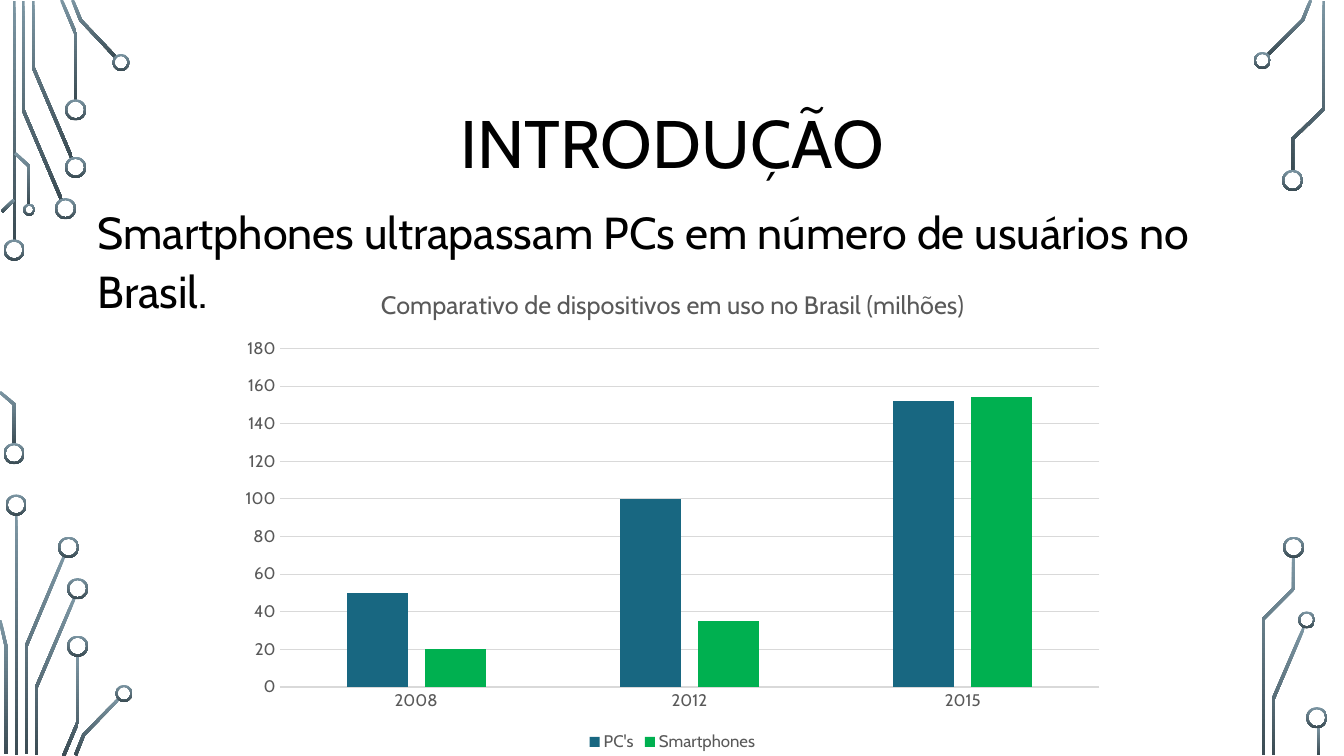
from dataclasses import dataclass
from math import hypot

from pptx import Presentation
from pptx.chart.data import CategoryChartData
from pptx.dml.color import RGBColor
from pptx.enum.chart import XL_CHART_TYPE, XL_LEGEND_POSITION, XL_TICK_MARK
from pptx.enum.shapes import MSO_SHAPE
from pptx.enum.text import MSO_ANCHOR, MSO_AUTO_SIZE, PP_ALIGN
from pptx.util import Inches, Pt


@dataclass
class Theme:
    font: str = "Cabin"
    ink: str = "000000"
    soft: str = "595959"
    grid: str = "D9D9D9"
    light: str = "7C96A3"
    dark: str = "3B4C54"
    bars: tuple = ("186781", "00B050")
    title: int = 48
    body: int = 32
    heading: int = 18
    label: int = 12
    trace: float = 0.03
    rim: float = 0.02


TRACES = [
    [(0.14, 0.01), (0.14, 2.4)],
    [(0.23, 0.01), (0.23, 1.09), (0.61, 1.98)],
    [(0.33, 0.01), (0.33, 0.67), (0.71, 1.56)],
    [(0.61, 0), (0.75, 0.33), (0.75, 1)],
    [(0.72, 0), (0.8, 0.2), (1.15, 0.57)],
    [(0.02, 2.1), (0.14, 1.98)],
    [(0, 3.89), (0.14, 4.01), (0.14, 4.41)],
    [(0.15, 1.52), (0.29, 1.65), (0.29, 2.03)],
    [(0.16, 5.1), (0.16, 7.49)],
    [(0.26, 7.48), (0.26, 6.41), (0.64, 5.51)],
    [(0, 6.15), (0.06, 6.41), (0.06, 7.48)],
    [(0.36, 7.49), (0.36, 6.82), (0.74, 5.93)],
    [(0.63, 7.5), (0.77, 7.17), (0.77, 6.5)],
    [(0.75, 7.49), (0.83, 7.29), (1.18, 6.93)],
    [(12.57, 0.55), (12.92, 0.2), (13, 0)],
    [(12.63, 7.49), (12.63, 6.93), (12.93, 6.23)],
    [(13.13, 0.01), (13.13, 1.08), (12.82, 1.38), (12.82, 1.69)],
    [(12.83, 5.52), (12.83, 5.84), (12.53, 6.14), (12.53, 7.49)],
    [(13.08, 7.21), (13.08, 7.49)],
]

RINGS = {
    0.21: [(0.14, 2.48), (0.14, 4.5), (0.65, 2.07), (0.75, 1.66),
           (0.75, 1.09), (0.16, 5.01), (0.68, 5.43), (0.77, 5.84),
           (0.77, 6.41), (12.82, 1.79), (12.83, 5.43), (13.06, 7.12)],
    0.17: [(1.2, 0.62), (1.23, 6.88), (12.52, 0.6), (12.96, 6.15)],
    0.12: [(0.29, 2.08)],
}


def normal(a, b):
    dx, dy = b[0] - a[0], b[1] - a[1]
    size = hypot(dx, dy)
    return -dy / size, dx / size


def outline(line, width):
    sides = [normal(a, b) for a, b in zip(line, line[1:])]
    left, right = [], []
    for (x, y), p, q in zip(line, sides[:1] + sides, sides + sides[-1:]):
        scale = width / 2 / (1 + p[0] * q[0] + p[1] * q[1])
        dx, dy = (p[0] + q[0]) * scale, (p[1] + q[1]) * scale
        left.append((Inches(x + dx), Inches(y + dy)))
        right.append((Inches(x - dx), Inches(y - dy)))
    return left + right[::-1]


class Deck:
    def __init__(self, theme):
        self.theme = theme
        self.file = Presentation()
        self.file.slide_width = Inches(13.33)
        self.file.slide_height = Inches(7.5)
        self.slide = self.file.slides.add_slide(self.file.slide_layouts[5])
        self.shapes = self.slide.shapes

    def style(self, font, size, color):
        font.name = self.theme.font
        font.size = Pt(size)
        font.bold = False
        font.color.rgb = RGBColor.from_string(color)

    def shade(self, shape):
        shape.shadow.inherit = False
        shape.line.fill.background()
        shape.fill.gradient()
        shape.fill.gradient_angle = 270
        stops = shape.fill.gradient_stops
        for stop, color in zip(stops, (self.theme.light, self.theme.dark)):
            stop.color.rgb = RGBColor.from_string(color)

    def trace(self, line):
        points = outline(line, self.theme.trace)
        pen = self.shapes.build_freeform(*points[0])
        pen.add_line_segments(points[1:], close=True)
        self.shade(pen.convert_to_shape())

    def ring(self, x, y, size):
        ring = self.shapes.add_shape(
            MSO_SHAPE.DONUT, Inches(x - size / 2), Inches(y - size / 2),
            Inches(size), Inches(size))
        ring.adjustments[0] = self.theme.rim / size
        self.shade(ring)

    def label(self, shape, text, size, align, anchor, spacing):
        frame = shape.text_frame
        frame.text = text
        frame.word_wrap = True
        frame.auto_size = MSO_AUTO_SIZE.NONE
        frame.vertical_anchor = anchor
        part = frame.paragraphs[0]
        part.alignment = align
        part.line_spacing = spacing
        self.style(part.runs[0].font, size, self.theme.ink)
        return part

    def title(self, text, box):
        shape = self.shapes.title
        shape.left, shape.top, shape.width, shape.height = map(Inches, box)
        self.label(shape, text, self.theme.title, PP_ALIGN.CENTER,
                   MSO_ANCHOR.MIDDLE, 0.9)

    def body(self, text, box):
        shape = self.shapes.add_textbox(*map(Inches, box))
        part = self.label(shape, text, self.theme.body, PP_ALIGN.LEFT,
                          MSO_ANCHOR.TOP, 1.1)
        part.space_before = Pt(10)

    def chart(self, heading, cats, series, box):
        theme = self.theme
        data = CategoryChartData()
        data.categories = cats
        for name, values in series.items():
            data.add_series(name, values)
        chart = self.shapes.add_chart(
            XL_CHART_TYPE.COLUMN_CLUSTERED, *map(Inches, box), data).chart
        self.style(chart.font, theme.label, theme.soft)
        chart.has_title = True
        frame = chart.chart_title.text_frame
        frame.text = heading
        self.style(frame.paragraphs[0].runs[0].font, theme.heading, theme.soft)
        chart.chart_title.include_in_layout = False
        chart.has_legend = True
        chart.legend.position = XL_LEGEND_POSITION.BOTTOM
        chart.legend.include_in_layout = False
        plot = chart.plots[0]
        plot.gap_width = 219
        plot.overlap = -27
        plot.vary_by_categories = False
        for item, color in zip(plot.series, theme.bars):
            item.format.fill.solid()
            item.format.fill.fore_color.rgb = RGBColor.from_string(color)
        across, up = chart.category_axis, chart.value_axis
        for axis in (across, up):
            axis.major_tick_mark = XL_TICK_MARK.NONE
            axis.minor_tick_mark = XL_TICK_MARK.NONE
            self.style(axis.tick_labels.font, theme.label, theme.soft)
        up.minimum_scale, up.maximum_scale, up.major_unit = 0, 180, 20
        up.format.line.fill.background()
        for line in (across.format.line, up.major_gridlines.format.line):
            line.color.rgb = RGBColor.from_string(theme.grid)
            line.width = Pt(0.75)


def main():
    deck = Deck(Theme())
    for line in TRACES:
        deck.trace(line)
    for size, spots in RINGS.items():
        for x, y in spots:
            deck.ring(x, y, size)
    deck.title("INTRODUÇÃO", (1.25, 0.65, 10.83, 1.62))
    deck.body("Smartphones ultrapassam PCs em número de usuários no Brasil.",
              (0.87, 1.93, 11.59, 0.73))
    deck.chart("Comparativo de dispositivos em uso no Brasil (milhões)",
               ("2008", "2012", "2015"),
               {"PC's": (50, 100, 152), "Smartphones": (20, 35, 154)},
               (2.26, 2.66, 8.82, 4.84))
    deck.file.save("out.pptx")


if __name__ == "__main__":
    main()
